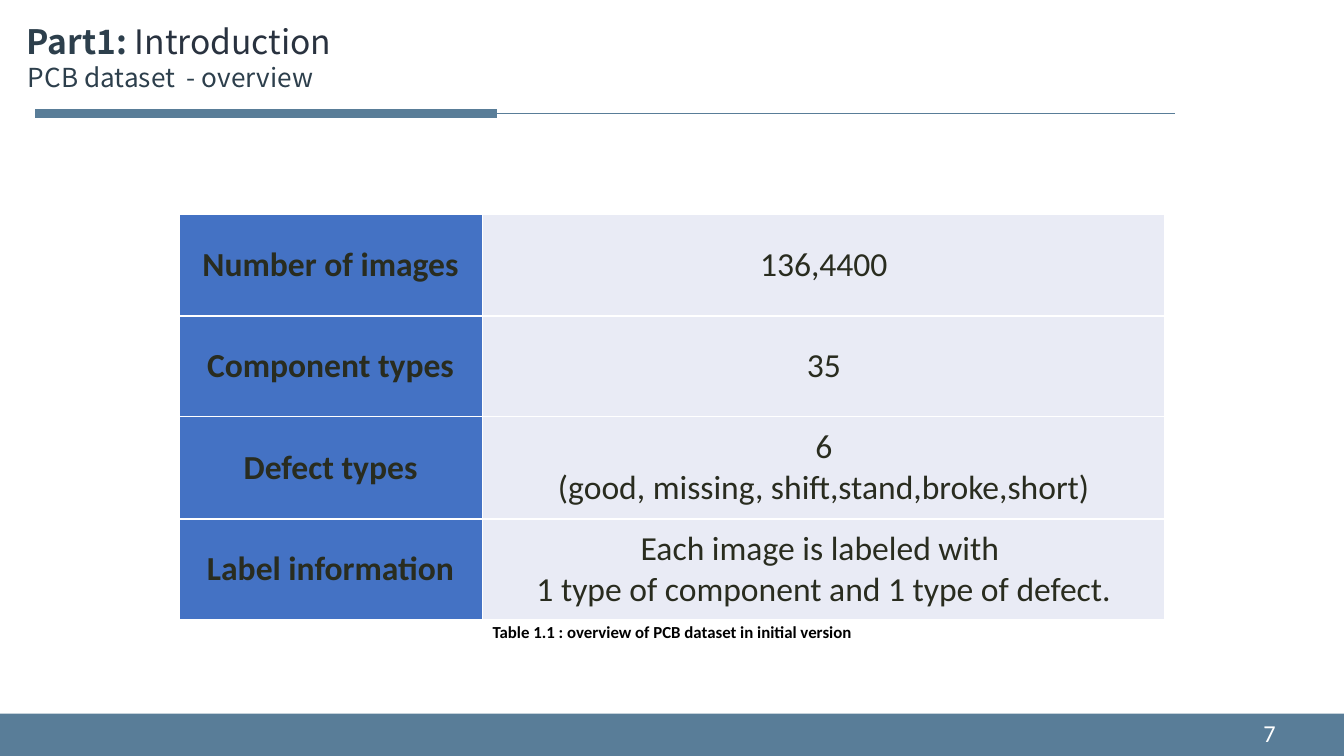
import pptx
import pptx.util
import pptx.dml.color
import pptx.enum.shapes
import pptx.enum.text
import pptx.oxml
import pptx.oxml.ns

Inches = pptx.util.Inches
Pt = pptx.util.Pt
RGBColor = pptx.dml.color.RGBColor
ALIGN = pptx.enum.text.PP_ALIGN
MIDDLE = pptx.enum.text.MSO_ANCHOR.MIDDLE
TOP = pptx.enum.text.MSO_ANCHOR.TOP
A_NS = pptx.oxml.ns.nsdecls("a")

STEEL = RGBColor(0x59, 0x7D, 0x98)
SLATE = RGBColor(0x2D, 0x3F, 0x4C)
NAVY = RGBColor(0x29, 0x32, 0x3F)
BLUE = RGBColor(0x44, 0x72, 0xC4)
PALE = RGBColor(0xE9, 0xEB, 0xF5)
INK = RGBColor(0x29, 0x2C, 0x1F)
BLACK = RGBColor(0, 0, 0)
WHITE = RGBColor(0xFF, 0xFF, 0xFF)

HEAD_FONT = "Noto Sans CJK SC"
BODY_FONT = "Calibri"

# "\v" is a line break inside a paragraph, "\n" starts a new paragraph
ROWS = [
    ("Number of images", "136,4400"),
    ("Component types", "35"),
    ("Defect types", "6\n(good, missing, shift,stand,broke,short)"),
    ("Label information",
     "Each image is labeled with \v1 type of component and 1 type of defect."),
]
CAPTION = "Table 1.1 : overview of PCB dataset in initial version"
ROW_HEIGHTS = [0.76, 0.75, 0.76, 0.75, 0.17]
COLUMN_WIDTHS = [2.26, 5.08]


class SlideBuilder:
    def __init__(self, prs):
        self.s = prs.slides.add_slide(prs.slide_layouts[6])

    def format_run(self, r, color, size, name=BODY_FONT, bold=False):
        for key, value in {"size": Pt(size), "name": name, "bold": bold}.items():
            setattr(r.font, key, value)
        r.font.color.rgb = color

    def bar(self, x, y, w, h, line_width=None):
        sp = self.s.shapes.add_shape(
            pptx.enum.shapes.MSO_SHAPE.RECTANGLE,
            Inches(x), Inches(y), Inches(w), Inches(h))
        sp.shadow.inherit = False
        sp.fill.solid()
        sp.fill.fore_color.rgb = STEEL
        if line_width:
            sp.line.color.rgb = STEEL
            sp.line.width = Pt(line_width)
            sp.line._get_or_add_ln().append(
                pptx.oxml.parse_xml('<a:miter %s lim="800000"/>' % A_NS))
        else:
            sp.line.fill.background()
        return sp

    def rule_to(self, bar, x):
        """Draw a thin level line from x to the left side of the bar."""
        y = bar.top + bar.height // 2
        line = self.s.shapes.add_connector(
            pptx.enum.shapes.MSO_CONNECTOR.STRAIGHT, Inches(x), y, bar.left, y)
        line.end_connect(bar, 1)
        line.line.color.rgb = STEEL
        line.line.width = Pt(0.5)
        line._element.spPr.append(pptx.oxml.parse_xml("<a:effectLst %s/>" % A_NS))

    def text(self, x, y, w, h, paragraphs, align=ALIGN.LEFT, anchor=TOP):
        """Add a text box; each paragraph is a list of (text, run format)."""
        sp = self.s.shapes.add_textbox(Inches(x), Inches(y), Inches(w), Inches(h))
        tf = sp.text_frame
        tf.word_wrap = True
        tf.vertical_anchor = anchor
        for i, runs in enumerate(paragraphs):
            p = tf.add_paragraph() if i else tf.paragraphs[0]
            p.alignment = align
            if i:
                p._p.get_or_add_pPr().set("marL", str(Inches(0.01)))
            for content, style in runs:
                r = p.add_run()
                r.text = content
                self.format_run(r, **style)

    def cell(self, cell, content, fill, color=INK, size=18, bold=False, anchor=MIDDLE):
        cell.text = content
        cell.vertical_anchor = anchor
        for side in ("left", "right", "top", "bottom"):
            setattr(cell, "margin_" + side, Inches(0.02))
        for p in cell.text_frame.paragraphs:
            p.alignment = ALIGN.CENTER
            for r in p.runs:
                self.format_run(r, color, size, bold=bold)
        self.borders(cell)
        cell.fill.solid()
        cell.fill.fore_color.rgb = fill

    def borders(self, cell):
        tcPr = cell._tc.get_or_add_tcPr()
        for tag in ("lnL", "lnR", "lnT", "lnB"):
            tcPr.append(pptx.oxml.parse_xml(
                '<a:%s %s w="12700"><a:solidFill><a:srgbClr val="%s"/></a:solidFill></a:%s>'
                % (tag, A_NS, WHITE, tag)))

    def table(self, x, y, rows, caption):
        """Add label and value rows, closed by a merged caption row."""
        frame = self.s.shapes.add_table(
            len(ROW_HEIGHTS), len(COLUMN_WIDTHS), Inches(x), Inches(y),
            Inches(sum(COLUMN_WIDTHS)), Inches(sum(ROW_HEIGHTS)))
        table = frame.table
        table.first_row = table.horz_banding = False
        for column, width in zip(table.columns, COLUMN_WIDTHS):
            column.width = Inches(width)
        for row, height in zip(table.rows, ROW_HEIGHTS):
            row.height = Inches(height)
        for i, (label, value) in enumerate(rows):
            self.cell(table.cell(i, 0), label, BLUE, bold=True)
            self.cell(table.cell(i, 1), value, PALE)
        last = len(rows)
        table.cell(last, 0).merge(table.cell(last, 1))
        self.cell(table.cell(last, 0), caption, WHITE, BLACK, 9, True, TOP)


def main():
    prs = pptx.Presentation()
    prs.slide_width = Inches(10)
    prs.slide_height = prs.slide_width * 9 // 16
    slide = SlideBuilder(prs)

    slide.bar(0, 5.31, 10, 0.32)
    title_bar = slide.bar(0.27, 0.82, 3.42, 0.05, line_width=1)
    slide.rule_to(title_bar, 8.74)

    heading = {"color": SLATE, "size": 18, "name": HEAD_FONT}
    slide.text(0.1, 0.11, 7.65, 0.64, [
        [("Part1: ", {**heading, "bold": True}),
         ("Introduction", {**heading, "color": NAVY})],
        [("PCB dataset  - overview", {**heading, "size": 14})],
    ])
    slide.table(1.33, 1.59, ROWS, CAPTION)
    slide.text(7.34, 5.3, 2.25, 0.3, [[("7", {"color": WHITE, "size": 13})]],
               ALIGN.RIGHT, MIDDLE)
    prs.save("out.pptx")


if __name__ == "__main__":
    main()
